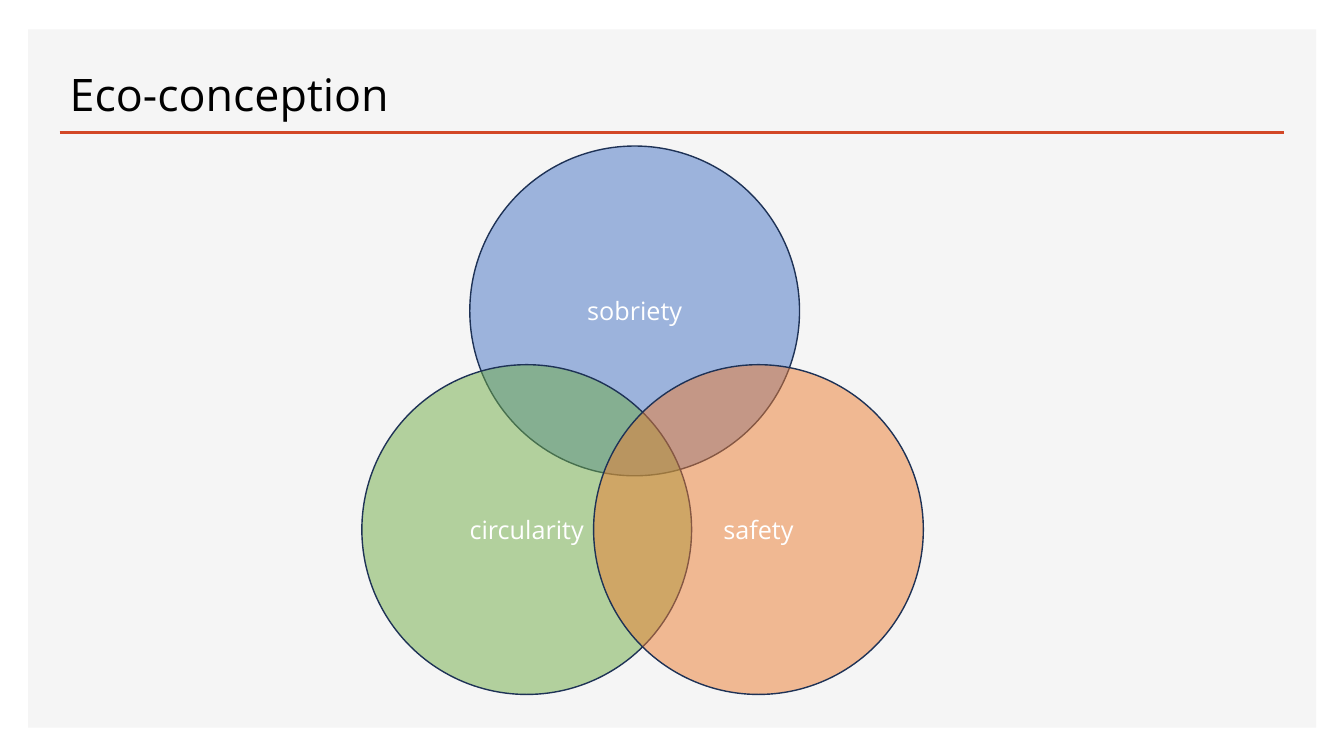
from dataclasses import dataclass

from lxml.etree import SubElement
from pptx import Presentation
from pptx.dml.color import RGBColor
from pptx.enum.shapes import MSO_CONNECTOR, MSO_SHAPE
from pptx.enum.text import MSO_ANCHOR, MSO_AUTO_SIZE, PP_ALIGN
from pptx.oxml.ns import qn
from pptx.slide import Slide
from pptx.text.text import _Paragraph as Paragraph
from pptx.util import Cm, Pt

COLORS = {
    "panel": "F5F5F5",
    "rule": "D24726",
    "title": "000000",
    "label": "FFFFFF",
    "outline": "1E3256",
    "sobriety": "4472C4",
    "circularity": "70AD47",
    "safety": "ED7D31",
}
FONT = "Open Sans"
MARGIN = 1.5
CONTENT_WIDTH = 30.86
RULE_TOP = 3.33
DIAMETER = 8.31
OPACITY = 50


@dataclass(frozen=True)
class Principle:
    label: str
    left: float
    top: float


PRINCIPLES = [
    Principle("sobriety", 11.84, 3.68),
    Principle("circularity", 9.12, 9.19),
    Principle("safety", 14.96, 9.19),
]


def color(name: str) -> RGBColor:
    return RGBColor.from_string(COLORS[name])


def style_text(paragraph: Paragraph, size: int, color_name: str, align: PP_ALIGN) -> None:
    paragraph.alignment = align
    paragraph.font.name = FONT
    paragraph.font.size = Pt(size)
    paragraph.font.color.rgb = color(color_name)


def draw_panel(slide: Slide) -> None:
    panel = slide.shapes.add_shape(
        MSO_SHAPE.RECTANGLE, Cm(0.71), Cm(0.74), Cm(32.46), Cm(17.6)
    )
    panel.shadow.inherit = False
    panel.fill.solid()
    panel.fill.fore_color.rgb = color("panel")
    panel.line.fill.background()


def draw_rule(slide: Slide) -> None:
    rule = slide.shapes.add_connector(
        MSO_CONNECTOR.STRAIGHT,
        Cm(MARGIN), Cm(RULE_TOP), Cm(MARGIN + CONTENT_WIDTH), Cm(RULE_TOP),
    )
    rule.line.color.rgb = color("rule")
    rule.line.width = Pt(2)
    SubElement(rule._element.spPr, qn("a:effectLst"))


def place_title(slide: Slide, text: str) -> None:
    title = slide.shapes.title
    title.left, title.top = Cm(MARGIN), Cm(1.02)
    title.width, title.height = Cm(CONTENT_WIDTH), Cm(2.16)
    frame = title.text_frame
    frame.text = text
    frame.auto_size = MSO_AUTO_SIZE.NONE
    frame.vertical_anchor = MSO_ANCHOR.BOTTOM
    heading = frame.paragraphs[0]
    heading.line_spacing = 0.9
    style_text(heading, 32, "title", PP_ALIGN.LEFT)
    slide.shapes._spTree.append(title._element)


def draw_principle(slide: Slide, principle: Principle) -> None:
    circle = slide.shapes.add_shape(
        MSO_SHAPE.OVAL,
        Cm(principle.left), Cm(principle.top), Cm(DIAMETER), Cm(DIAMETER),
    )
    circle.shadow.inherit = False
    circle.fill.solid()
    circle.fill.fore_color.rgb = color(principle.label)
    fill_color = circle._element.spPr.find(qn("a:solidFill")).find(qn("a:srgbClr"))
    SubElement(fill_color, qn("a:alpha"), val=str(OPACITY * 1000))
    circle.line.color.rgb = color("outline")
    circle.line.width = Pt(1)
    frame = circle.text_frame
    frame.text = principle.label
    frame.vertical_anchor = MSO_ANCHOR.MIDDLE
    style_text(frame.paragraphs[0], 18, "label", PP_ALIGN.CENTER)


def main() -> None:
    presentation = Presentation()
    presentation.slide_width, presentation.slide_height = Cm(33.87), Cm(19.05)
    slide = presentation.slides.add_slide(presentation.slide_layouts[5])
    draw_panel(slide)
    draw_rule(slide)
    place_title(slide, "Eco-conception")
    for principle in PRINCIPLES:
        draw_principle(slide, principle)
    presentation.save("out.pptx")


if __name__ == "__main__":
    main()
